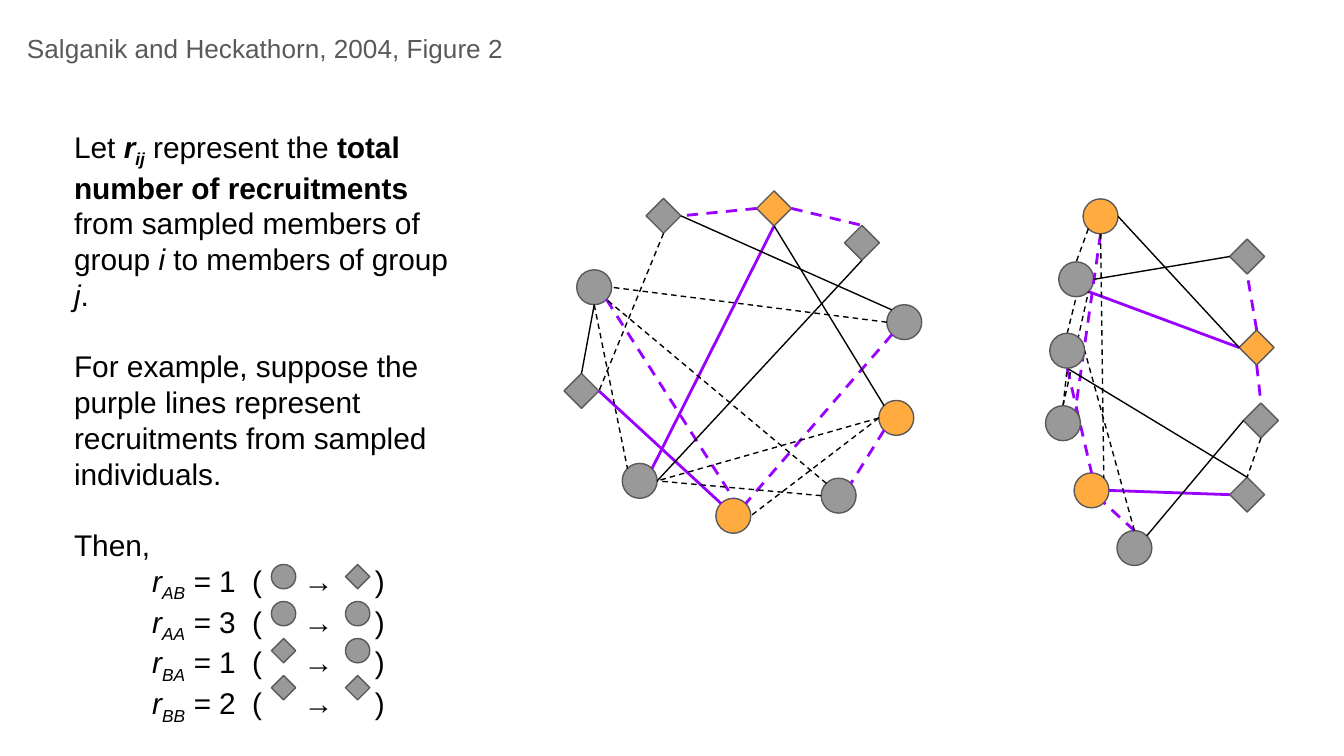
from dataclasses import dataclass

from lxml import etree
from pptx import Presentation
from pptx.dml.color import RGBColor
from pptx.enum.dml import MSO_LINE
from pptx.enum.shapes import MSO_CONNECTOR, MSO_SHAPE
from pptx.enum.text import MSO_ANCHOR, MSO_AUTO_SIZE, PP_ALIGN
from pptx.oxml.ns import qn
from pptx.util import Cm, Pt

CIRCLE, DIAMOND = MSO_SHAPE.OVAL, MSO_SHAPE.DIAMOND
STRAIGHT, DASH = MSO_CONNECTOR.STRAIGHT, MSO_LINE.DASH
TOP, NO_FIT = MSO_ANCHOR.TOP, MSO_AUTO_SIZE.NONE
LEFT, CENTER = PP_ALIGN.LEFT, PP_ALIGN.CENTER

COLORS = {"gray": "999999", "orange": "FFAB40", "outline": "595959",
          "black": "000000", "purple": "9900FF"}
NODE_SIZE, ICON_SIZE = 0.66, 0.46
# Place of each contact point on a node, as shares of its width and height
SITES = {"n": (0.5, 0), "w": (0, 0.5), "s": (0.5, 1), "e": (1, 0.5),
         "nw": (0.15, 0.15), "sw": (0.15, 0.85), "se": (0.85, 0.85), "ne": (0.85, 0.15)}
DIAMOND_SITES = {"n": 0, "w": 1, "s": 2, "e": 3}


@dataclass
class Node:
    left: float
    top: float
    kind: MSO_SHAPE = CIRCLE
    color: str = "gray"
    front: bool = False


@dataclass
class Edge:
    """A tie between two nodes, each end given as 'node site'."""
    start: str
    end: str
    color: str = "black"
    dashed: bool = False


NODES = {
    # Left network
    "a": Node(15.52, 9.04), "b": Node(10.9, 5.1), "c": Node(11.76, 8.76),
    "d": Node(16.61, 7.57, color="orange"), "e": Node(16.76, 5.76),
    "f": Node(13.53, 9.42, color="orange"),
    "g": Node(12.21, 3.75, DIAMOND), "h": Node(14.3, 3.61, DIAMOND, "orange"),
    "i": Node(15.96, 4.26, DIAMOND), "j": Node(10.66, 7.06, DIAMOND),
    # Right network
    "k": Node(20.01, 4.95), "l": Node(20.47, 3.76, color="orange"),
    "m": Node(21.11, 10.03), "n": Node(20.3, 8.94, color="orange"),
    "o": Node(23.5, 7.62, DIAMOND), "p": Node(23.42, 6.24, DIAMOND, "orange"),
    "q": Node(23.24, 4.52, DIAMOND), "r": Node(23.24, 9.02, DIAMOND),
    "s": Node(19.84, 6.3, front=True), "t": Node(19.76, 7.67, front=True),
}
TIES = {
    ("purple", False): ["h s, c ne", "j e, f nw", "p w, k se", "r w, n e"],
    ("purple", True): ["h e, i n", "h w, g e", "e sw, f ne", "d sw, a ne", "b se, f n",
                       "p n, q s", "p s, o n", "m n, n se", "l s, t ne", "s s, n n"],
    ("black", False): ["h s, d nw", "i s, c e", "e nw, g e", "b s, j n",
                       "p w, l e", "q w, k e", "m ne, o w", "s s, r n"],
    ("black", True): ["e w, b e", "d w, c e", "d w, f e", "a w, c e", "a nw, b se",
                      "b s, c nw", "g s, j e", "m n, s e", "l sw, k n", "t n, k se",
                      "t n, s s", "s n, k s", "o s, r n", "l s, n ne"],
}
EDGES = [Edge(*tie.split(", "), color, dashed)
         for (color, dashed), ties in TIES.items() for tie in ties]

ITALIC = {"italic": True}
BOLD = {"bold": True}
SUBSCRIPT = {"italic": True, "subscript": True}
NARROW_GAP = (" ", {"tracking": 4.45})
WIDE_GAP = (" ", {"tracking": 17.8})
PROSE = [
    [("Let ", {}), ("r", BOLD | ITALIC), ("ij", BOLD | SUBSCRIPT), (" represent the ", {}),
     ("total number of recruitments", BOLD), (" from sampled members of group ", {}),
     ("i", ITALIC), (" to members of group ", {}), ("j", ITALIC), (".", {})],
    [("For example, suppose the purple lines represent recruitments from sampled "
      "individuals.", {})],
    [("Then,", {})],
]
COUNTS = {"AB": 1, "AA": 3, "BA": 1, "BB": 2}
GROUP_KINDS = {"A": CIRCLE, "B": DIAMOND}
ICON_LEFTS = [5.13, 6.53]
ICON_TOP, ICON_STEP = 10.67, 0.7


def rgb(name: str) -> RGBColor:
    return RGBColor.from_string(COLORS[name])


def draw_node(shapes, node: Node, size: float):
    shape = shapes.add_shape(node.kind, Cm(node.left), Cm(node.top), Cm(size), Cm(size))
    shape.shadow.inherit = False
    shape.fill.solid()
    shape.fill.fore_color.rgb = rgb(node.color)
    shape.line.color.rgb = rgb("outline")
    shape.line.width = Pt(0.75)
    return shape


def site_point(end: str) -> list:
    name, site = end.split()
    node = NODES[name]
    across, down = SITES[site]
    return [Cm(node.left + across * NODE_SIZE), Cm(node.top + down * NODE_SIZE)]


def draw_edge(shapes, edge: Edge, drawn: dict) -> None:
    line = shapes.add_connector(STRAIGHT, *site_point(edge.start), *site_point(edge.end))
    for end, connect in ((edge.start, line.begin_connect), (edge.end, line.end_connect)):
        name, site = end.split()
        if NODES[name].kind == DIAMOND:
            connect(drawn[name], DIAMOND_SITES[site])
    line.line.color.rgb = rgb(edge.color)
    line.line.width = Pt(1.5 if edge.color == "purple" else 0.75)
    if edge.dashed:
        line.line.dash_style = DASH
    etree.SubElement(line._element.spPr, qn("a:effectLst"))


def place(box, left: float, top: float, width: float, height: float):
    """Move a placeholder and give its text frame plain settings."""
    box.left, box.top, box.width, box.height = Cm(left), Cm(top), Cm(width), Cm(height)
    frame = box.text_frame
    settings = {"word_wrap": True, "auto_size": NO_FIT, "vertical_anchor": TOP}
    margins = dict.fromkeys(
        ("margin_left", "margin_top", "margin_right", "margin_bottom"), Cm(0.25))
    for name, value in (settings | margins).items():
        setattr(frame, name, value)
    return frame


def write_para(para, spans: list, size: float, color: str,
               before: float = 0, alignment: PP_ALIGN = LEFT) -> None:
    properties = para._p.get_or_add_pPr()
    properties.set("marL", "0")
    properties.set("indent", "0")
    etree.SubElement(properties, qn("a:buNone"))
    layout = {"alignment": alignment, "space_before": Pt(before), "line_spacing": 1.0}
    for name, value in layout.items():
        setattr(para, name, value)
    for text, style in spans:
        span = para.add_run()
        span.text = text
        look = {"name": "Arial", "size": Pt(size), "bold": style.get("bold", False),
                "italic": style.get("italic", False)}
        for name, value in look.items():
            setattr(span.font, name, value)
        span.font.color.rgb = rgb(color)
        run_properties = span._r.get_or_add_rPr()
        if style.get("subscript"):
            run_properties.set("baseline", "-25000")
        if "tracking" in style:
            run_properties.set("spc", str(round(style["tracking"] * 100)))


def count_spans(pair: str, count: int) -> list:
    return [("r", ITALIC), (pair, SUBSCRIPT), (" = ", ITALIC), (str(count), {}), NARROW_GAP,
            ("(", {}), WIDE_GAP, ("→", {}), WIDE_GAP, (")", {})]


def write_body(frame) -> None:
    for index, spans in enumerate(PROSE):
        para = frame.add_paragraph() if index else frame.paragraphs[0]
        write_para(para, spans, 16, "black", before=19 if index else 0)
    for pair, count in COUNTS.items():
        write_para(frame.add_paragraph(), count_spans(pair, count), 16, "black",
                   alignment=CENTER)


def main() -> None:
    deck = Presentation()
    deck.slide_width, deck.slide_height = Cm(25.4), Cm(14.29)
    page = deck.slides.add_slide(deck.slide_layouts[1])
    title, body = page.placeholders
    title_frame = place(title, 0.26, 0.36, 9.53, 1.12)
    write_para(title_frame.paragraphs[0],
               [("Salganik and Heckathorn, 2004, Figure 2", {})], 14, "outline")
    write_body(place(body, 1.15, 2.18, 7.85, 11.46))

    drawn = {name: draw_node(page.shapes, node, NODE_SIZE)
             for name, node in NODES.items() if not node.front}
    for edge in EDGES:
        draw_edge(page.shapes, edge, drawn)
    for node in NODES.values():
        if node.front:
            draw_node(page.shapes, node, NODE_SIZE)
    for row, pair in enumerate(COUNTS):
        for group, left in zip(pair, ICON_LEFTS):
            icon = Node(left, ICON_TOP + row * ICON_STEP, GROUP_KINDS[group])
            draw_node(page.shapes, icon, ICON_SIZE)
    deck.save("out.pptx")


if __name__ == "__main__":
    main()
